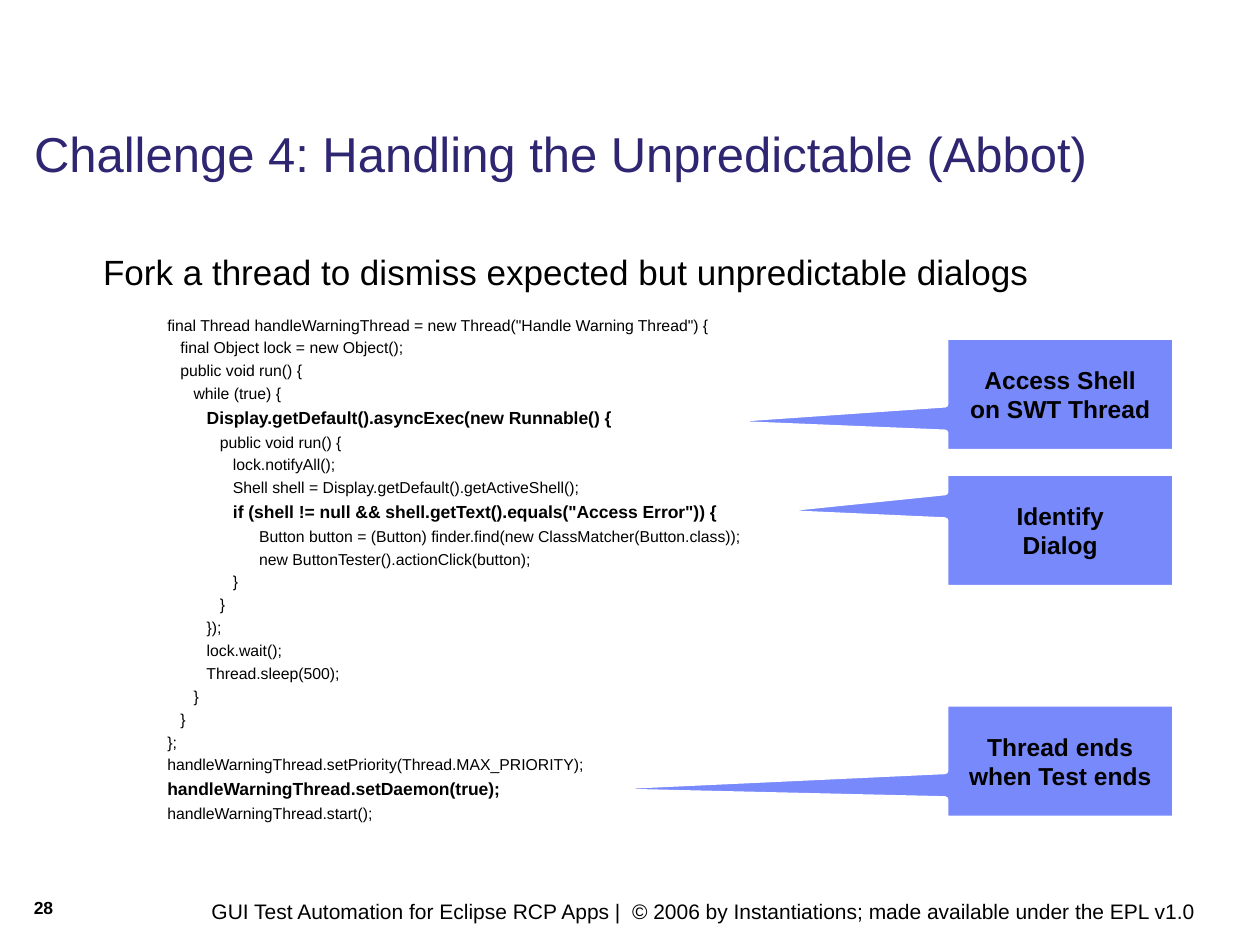
"""Build the slide on handling unpredictable dialogs with Abbot."""
from dataclasses import dataclass

from pptx import Presentation
from pptx import util as u
from pptx.dml.color import RGBColor
from pptx.enum import shapes, text

PX = 9144

HEADING = "Fork a thread to dismiss expected but unpredictable dialogs"
CODE = [
    (0, 'final Thread handleWarningThread = new Thread("Handle Warning Thread") {'),
    (1, "final Object lock = new Object();"),
    (1, "public void run() {"),
    (2, "while (true) {"),
    (3, "Display.getDefault().asyncExec(new Runnable() {"),
    (4, "public void run() {"),
    (5, "lock.notifyAll();"),
    (5, "Shell shell = Display.getDefault().getActiveShell();"),
    (5, 'if (shell != null && shell.getText().equals("Access Error")) {'),
    (7, "Button button = (Button) finder.find(new ClassMatcher(Button.class));"),
    (7, "new ButtonTester().actionClick(button);"),
    (5, "}"),
    (4, "}"),
    (3, "});"),
    (3, "lock.wait();"),
    (3, "Thread.sleep(500);"),
    (2, "}"),
    (1, "}"),
    (0, "};"),
    (0, "handleWarningThread.setPriority(Thread.MAX_PRIORITY);"),
    (0, "handleWarningThread.setDaemon(true);"),
    (0, "handleWarningThread.start();"),
]
KEY_STARTS = ("Display.", "if (shell", "handleWarningThread.setDaemon")
CALLOUTS = [
    (375, "Identify\nDialog", (-1.35, -0.16)),
    (267, "Access Shell\non SWT Thread", (-1.64, 0.24)),
    (558, "Thread ends\nwhen Test ends", (-2.31, 0.25)),
]
FOOTER = ("GUI Test Automation for Eclipse RCP Apps |  "
          "© 2006 by Instantiations; made available under the EPL v1.0")


@dataclass(frozen=True)
class Theme:
    """Colours and type sizes of the slide."""
    font: str = "Arial"
    ink: str = "000000"
    title: str = "2F2672"
    callout: str = "7889FB"
    edge: str = "FFFFFF"
    title_pt: int = 28
    heading_pt: int = 20
    callout_pt: int = 14
    footer_pt: int = 12
    key_pt: int = 10
    code_pt: int = 9


class Deck:
    """Holds the theme and the current slide and draws its elements."""

    def __init__(self, prs, theme):
        """Add a title-only slide to the presentation."""
        self.theme = theme
        self.s = prs.slides.add_slide(prs.slide_layouts[5])

    def style(self, r, size, color=None, bold=False):
        """Format one run."""
        r.font.name = self.theme.font
        r.font.size = u.Pt(size)
        r.font.bold = bold
        r.font.color.rgb = RGBColor.from_string(color or self.theme.ink)

    def title(self, words, box):
        """Place and format the title placeholder."""
        sp = self.s.shapes.title
        sp.left, sp.top, sp.width, sp.height = (n * PX for n in box)
        tf = sp.text_frame
        tf.text = words
        tf.vertical_anchor = text.MSO_ANCHOR.BOTTOM
        p = tf.paragraphs[0]
        p.alignment = text.PP_ALIGN.LEFT
        p.line_spacing = 0.9
        self.style(p.runs[0], self.theme.title_pt, self.theme.title)

    def label(self, words, box, size, bold=False):
        """Add a text box with one line and return its frame."""
        tf = self.s.shapes.add_textbox(*(n * PX for n in box)).text_frame
        tf.word_wrap = True
        tf.text = words
        self.style(tf.paragraphs[0].runs[0], size, bold=bold)
        return tf

    def listing(self, heading, code, box):
        """Add a heading followed by code with its key lines in bold."""
        tf = self.label(heading, box, self.theme.heading_pt)
        tf.paragraphs[0].line_spacing = 0.8
        for i, (level, line) in enumerate(code):
            key = line.startswith(KEY_STARTS)
            p = tf.add_paragraph()
            p._p.get_or_add_pPr().set("marL", str(51 * PX))
            p.line_spacing = 0.8
            p.space_before = u.Pt(15.5 if i == 0 else 3.1 if key else 2.8)
            p.space_after = u.Pt(1.9 if key else 1.6)
            if level:
                r = p.add_run()
                r.text = "   " * level
                self.style(r, self.theme.code_pt)
            r = p.add_run()
            r.text = line
            self.style(r, self.theme.key_pt if key else self.theme.code_pt, bold=key)

    def callout(self, words, box, tip):
        """Add a rectangular callout whose wedge ends at the tip."""
        sp = self.s.shapes.add_shape(
            shapes.MSO_SHAPE.RECTANGULAR_CALLOUT, *(n * PX for n in box))
        sp.shadow.inherit = False
        sp.adjustments[0], sp.adjustments[1] = tip
        sp.fill.solid()
        sp.fill.fore_color.rgb = RGBColor.from_string(self.theme.callout)
        sp.line.color.rgb = RGBColor.from_string(self.theme.edge)
        sp.line.width = u.Pt(4)
        tf = sp.text_frame
        tf.text = words
        tf.word_wrap = False
        tf.vertical_anchor = text.MSO_ANCHOR.MIDDLE
        for p in tf.paragraphs:
            p.alignment = text.PP_ALIGN.CENTER
            self.style(p.runs[0], self.theme.callout_pt, bold=True)


def main():
    """Build and save the slide."""
    prs = Presentation()
    prs.slide_width, prs.slide_height = 1000 * PX, 750 * PX
    theme = Theme()
    deck = Deck(prs, theme)
    deck.label(FOOTER, (158, 708, 842, 30), theme.footer_pt)
    deck.title("Challenge 4: Handling the Unpredictable (Abbot)",
               (17, 95, 902, 55))
    deck.listing(HEADING, CODE, (72, 200, 846, 475))
    for top, words, tip in CALLOUTS:
        deck.callout(words, (750, top, 183, 92), tip)
    deck.label("28", (17, 707, 110, 35), theme.key_pt, bold=True)
    prs.save("out.pptx")


if __name__ == "__main__":
    main()
